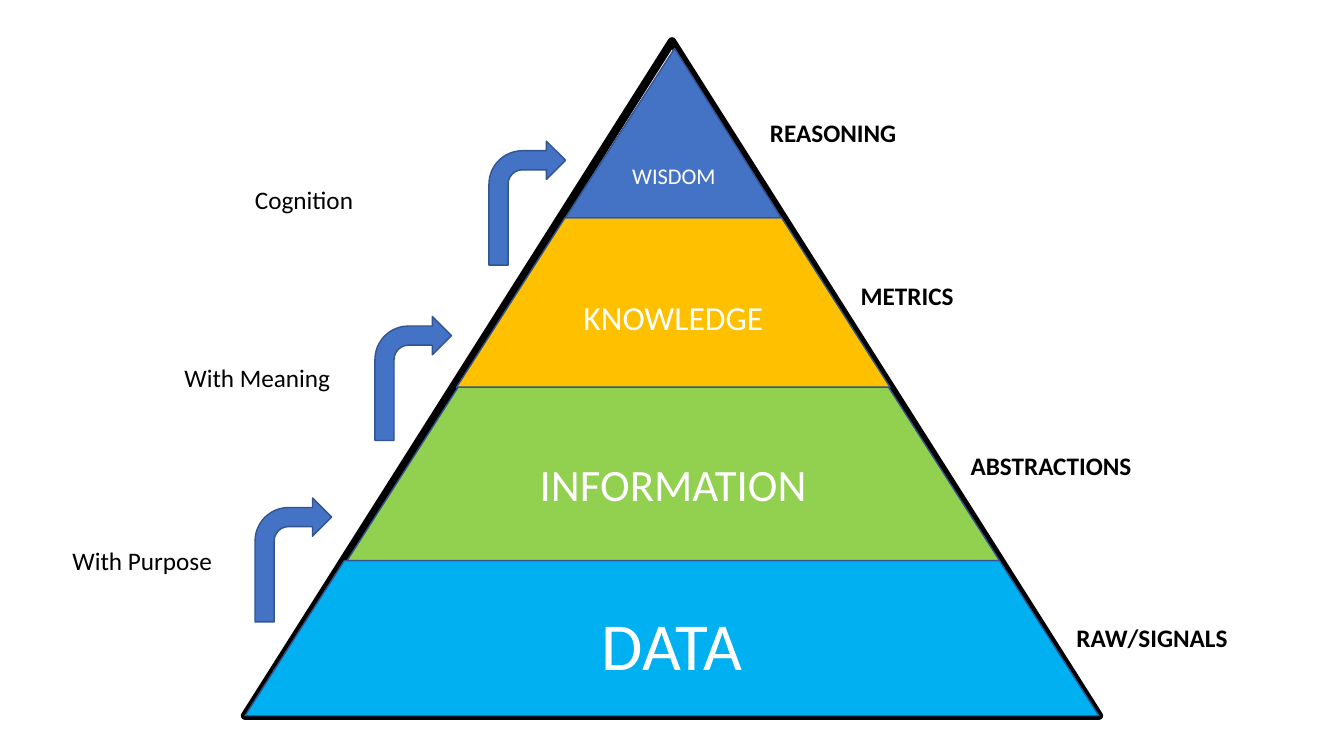
from pptx import Presentation
from pptx import util as u
from pptx.dml.color import RGBColor
from pptx.enum import shapes, text

WHITE = RGBColor(0xFF, 0xFF, 0xFF)
BLACK = RGBColor(0x00, 0x00, 0x00)
EDGE = RGBColor(0x32, 0x54, 0x91)
BLUE = RGBColor(0x44, 0x72, 0xC4)
AMBER = RGBColor(0xFF, 0xC0, 0x00)
GREEN = RGBColor(0x92, 0xD0, 0x50)
CYAN = RGBColor(0x00, 0xB0, 0xF0)
SHAPE = shapes.MSO_SHAPE

CENTER, INNER_CENTER = 50, 50.1
BASE, BASE_WIDTH = 94.67, 63.53
LABEL_HEIGHT = 5.33


def write(tf, words, size=18, color=BLACK, bold=False, align=text.PP_ALIGN.LEFT, font="Calibri"):
    p = tf.paragraphs[0]
    p.alignment = align
    r = p.add_run()
    r.text = words
    r.font.name = font
    r.font.size = u.Pt(size)
    r.font.bold = bold
    r.font.color.rgb = color


class Diagram:
    def __init__(self, prs):
        self.prs = prs
        self.s = prs.slides.add_slide(prs.slide_layouts[6])
        self.group = self.s.shapes.add_group_shape()

    def box(self, x, y, w, h):
        W, H = self.prs.slide_width, self.prs.slide_height
        return [round(v * side / 100) for v, side in zip((x, y, w, h), (W, H, W, H))]

    def shape(self, kind, x, y, w, h, fill, line=EDGE, weight=1, adj=None):
        sp = self.group.shapes.add_shape(kind, *self.box(x, y, w, h))
        sp.shadow.inherit = False
        sp.fill.solid()
        sp.fill.fore_color.rgb = fill
        sp.line.color.rgb = line
        sp.line.width = u.Pt(weight)
        if adj is not None:
            sp.adjustments[0] = adj
        return sp

    def level(self, kind, center, y, w, h, fill, adj, words, size):
        sp = self.shape(kind, center - w / 2, y, w, h, fill, adj=adj)
        tf = sp.text_frame
        tf.word_wrap = True
        tf.vertical_anchor = text.MSO_ANCHOR.MIDDLE
        write(tf, words, size=size, color=WHITE, align=text.PP_ALIGN.CENTER)

    def arrow(self, x, y):
        self.shape(SHAPE.BENT_ARROW, x, y, 5.7, 16.4, BLUE)

    def label(self, words, x, y, w, bold=False):
        tf = self.group.shapes.add_textbox(*self.box(x, y, w, LABEL_HEIGHT)).text_frame
        tf.word_wrap = True
        tf.auto_size = text.MSO_AUTO_SIZE.SHAPE_TO_FIT_TEXT
        write(tf, words, bold=bold)


prs = Presentation()
prs.slide_width, prs.slide_height = u.Inches(13.33), u.Inches(7.5)
pyramid = Diagram(prs)

pyramid.shape(SHAPE.ISOSCELES_TRIANGLE, CENTER - BASE_WIDTH / 2, 5.47, BASE_WIDTH, 89.2,
              WHITE, line=BLACK, weight=6)

levels = [
    ("DATA", 48, CYAN, SHAPE.TRAPEZOID, 0.64, CENTER, BASE_WIDTH, 20.53),
    ("INFORMATION", 32, GREEN, SHAPE.TRAPEZOID, 0.64, INNER_CENTER, 48.53, 22.93),
    ("KNOWLEDGE", 24, AMBER, SHAPE.TRAPEZOID, 0.64, INNER_CENTER, 32.25, 22.4),
    ("WISDOM", 16, BLUE, SHAPE.ISOSCELES_TRIANGLE, 0.506, INNER_CENTER, 16.05, 22.4),
]
top = BASE
for words, size, fill, kind, adj, center, w, h in levels:
    top -= h
    pyramid.level(kind, center, top, w, h, fill, adj, words, size)

steps = [
    ("With Purpose", 4.65, 71.47, 13.2, 18.98, 65.87),
    ("With Meaning", 12.98, 47.33, 13.2, 27.9, 41.87),
    ("Cognition", 18.23, 23.73, 13.73, 36.38, 18.67),
]
for words, x, y, w, arrow_x, arrow_y in steps:
    pyramid.arrow(arrow_x, arrow_y)
    pyramid.label(words, x, y, w)

outputs = [
    ("RAW/SIGNALS", 79.35, 81.6, 18),
    ("ABSTRACTIONS", 71.48, 58.93, 20.55),
    ("METRICS", 63.3, 36.4, 18.83),
    ("REASONING", 56.55, 14.8, 13.5),
]
for words, x, y, w in outputs:
    pyramid.label(words, x, y, w, bold=True)

prs.save("out.pptx")
